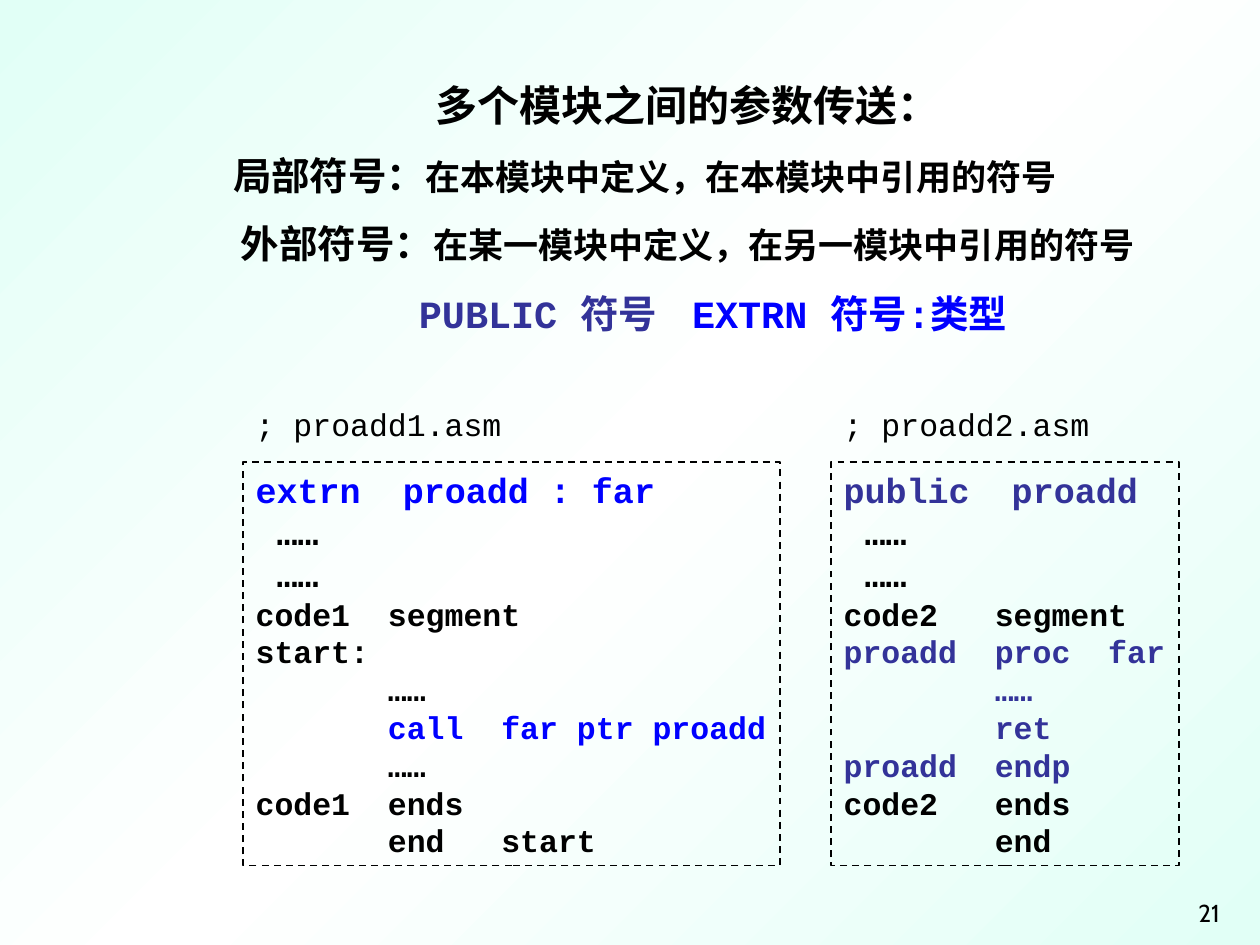
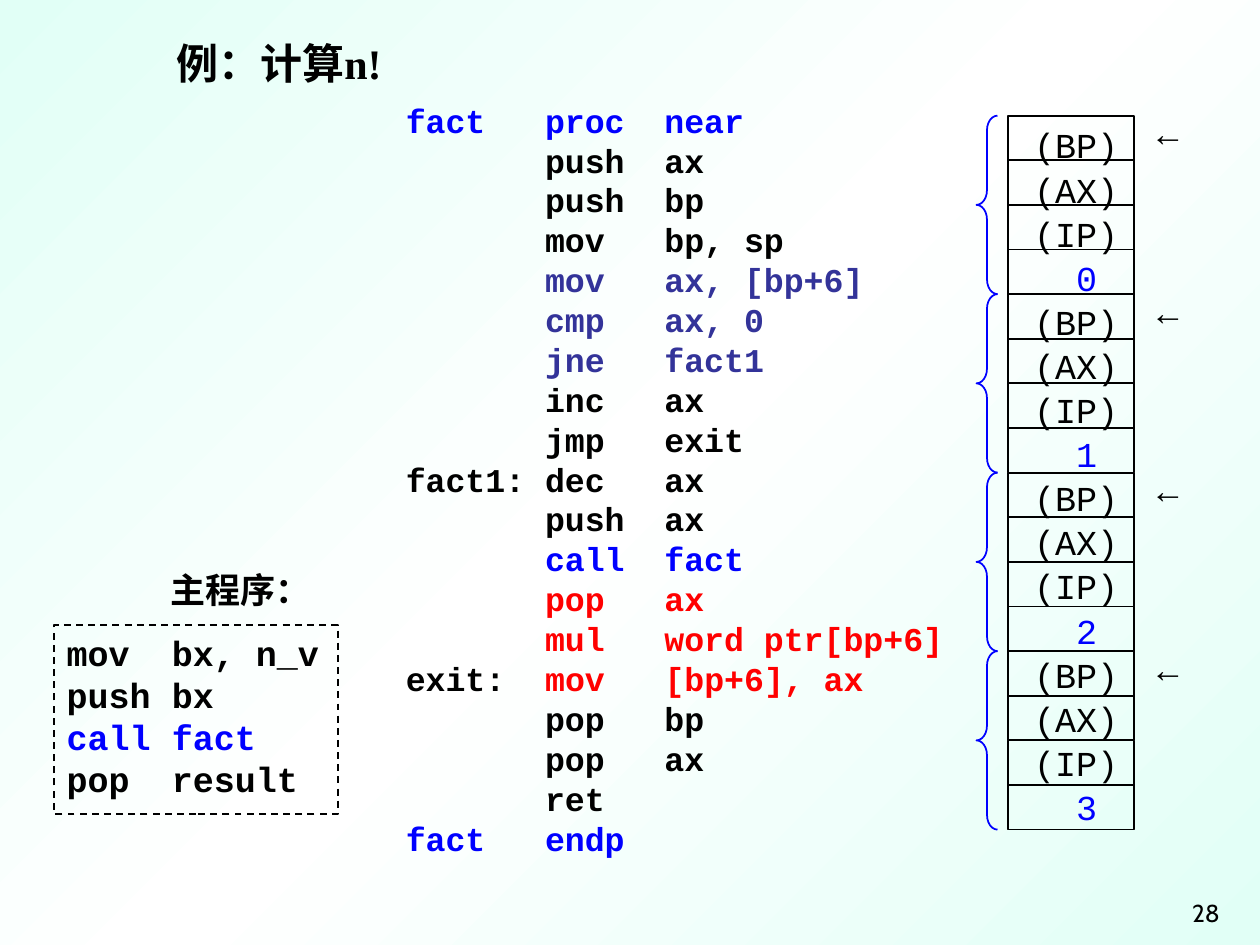
from copy import deepcopy

from lxml import etree
from pptx import Presentation
from pptx.dml.color import RGBColor
from pptx.enum import dml, shapes, text
from pptx.oxml.ns import qn
from pptx.util import Pt

BLACK = RGBColor(0x00, 0x00, 0x00)
WHITE = RGBColor(0xFF, 0xFF, 0xFF)
BLUE = RGBColor(0x00, 0x00, 0xFF)
INDIGO = RGBColor(0x33, 0x33, 0x99)
RED = RGBColor(0xFF, 0x00, 0x00)
MINT = RGBColor(0xE1, 0xFF, 0xF6)

MONO, SERIF, SANS, NUMERAL = "Courier New", "Times New Roman", "Arial", "Cabin"
LEFT, CENTER, RIGHT = text.PP_ALIGN.LEFT, text.PP_ALIGN.CENTER, text.PP_ALIGN.RIGHT
TOP, MIDDLE, BOTTOM = (text.MSO_ANCHOR.TOP, text.MSO_ANCHOR.MIDDLE,
                       text.MSO_ANCHOR.BOTTOM)
INSET = 7.2
LINE_RATIO = 1.2

MODULE_TITLE = "多个模块之间的参数传送："
SYMBOL_RULES = [
    (LEFT, SERIF, 0, 0, [("局部符号：", BLACK, 22),
                         ("在本模块中定义，在本模块中引用的符号", BLACK, 20)]),
    (CENTER, SERIF, 12.5, 0, [("外部符号：", BLACK, 22),
                              ("在某一模块中定义，在另一模块中引用的符号", BLACK, 20)]),
    (LEFT, MONO, 13.8, 106.2, [("PUBLIC 符号", INDIGO, 22),
                               ("\tEXTRN 符号:类型", BLUE, 22)]),
]
SYMBOL_COLUMNS = (13,)

MODULES = [
    {"name": "; proadd1.asm", "left": 139, "width": 306.7, "columns": (7, 13),
     "lines": [("extrn\tproadd : far", BLUE), (" ……", BLACK), (" ……", BLACK),
               ("code1\tsegment", BLACK), ("start:", BLACK), ("\t……", BLACK),
               ("\tcall\tfar ptr proadd", BLUE), ("\t……", BLACK),
               ("code1\tends", BLACK), ("\tend\tstart", BLACK)]},
    {"name": "; proadd2.asm", "left": 475, "width": 198.7, "columns": (8, 14),
     "lines": [("public\tproadd", INDIGO), (" ……", BLACK), (" ……", BLACK),
               ("code2\tsegment", BLACK), ("proadd\tproc\tfar", INDIGO),
               ("\t……", INDIGO), ("\tret", INDIGO), ("proadd\tendp", INDIGO),
               ("code2\tends", BLACK), ("\tend", BLACK)]},
]
MODULE_SIZES = [20] * 3 + [18] * 7

FACTORIAL_TITLE = "例：计算n!"
FACTORIAL_CODE = [
    [("fact\tproc\tnear", BLUE)],
    [("\tpush\tax", BLACK)],
    [("\tpush\tbp", BLACK)],
    [("\tmov\tbp, sp", BLACK)],
    [("\tmov\tax, [bp+6]", INDIGO)],
    [("\tcmp\tax, 0", INDIGO)],
    [("\tjne\tfact1", INDIGO)],
    [("\tinc\tax", BLACK)],
    [("\tjmp\texit", BLACK)],
    [("fact1:\tdec\tax", BLACK)],
    [("\tpush\tax", BLACK)],
    [("\tcall\tfact", BLUE)],
    [("\tpop\tax", RED)],
    [("\tmul\tword ptr[bp+6]", RED)],
    [("exit:", BLACK), ("\tmov\t[bp+6], ax", RED)],
    [("\tpop\tbp", BLACK)],
    [("\tpop\tax", BLACK)],
    [("\tret", BLACK)],
    [("fact\tendp", BLUE)],
]
MAIN_LABEL = "主程序："
MAIN_CODE = [("mov\tbx, n_v", BLACK), ("push\tbx", BLACK),
             ("call\tfact", BLUE), ("pop\tresult", BLACK)]
SAVED_REGISTERS = ["(BP)", "(AX)", "(IP)"]
ARGUMENTS = ["0", "1", "2", "3"]
STACK_LEFT, STACK_TOP, STACK_WIDTH = 576, 66.1, 72
CELL_HEIGHT = 25.5


def place(box, left, top, width, height):
    box.left, box.top, box.width, box.height = map(Pt, (left, top, width, height))
    return box


def prepare_frame(box, anchor=TOP, right_inset=INSET):
    frame = box.text_frame
    frame.word_wrap = True
    frame.auto_size = text.MSO_AUTO_SIZE.NONE
    frame.vertical_anchor = anchor
    frame.margin_left, frame.margin_right = Pt(INSET), Pt(right_inset)
    frame.margin_top = frame.margin_bottom = Pt(INSET / 2)
    return frame


def align_columns(spans, columns):
    stops, used, aligned = iter(columns), 0, []
    for words, color, size in spans:
        field, *rest = words.split("\t")
        line = " " * used + field
        for field in rest:
            line = line.ljust(next(stops)) + field
        aligned.append((line[used:], color, size))
        used = len(line)
    return aligned


def write_line(frame, index, spans, font=MONO, bold=True, align=LEFT,
               before=0, ratio=LINE_RATIO, indent=0, columns=()):
    para = frame.paragraphs[0] if index == 0 else frame.add_paragraph()
    para.alignment = align
    para.space_before = Pt(before)
    para.line_spacing = Pt(ratio * max(size for _, _, size in spans))
    properties = para._p.get_or_add_pPr()
    properties.set("marL", str(int(Pt(indent))))
    properties.set("indent", "0")
    etree.SubElement(properties, qn("a:buNone"))
    for words, color, size in align_columns(spans, columns):
        span = para.add_run()
        span.text = words
        span.font.name, span.font.size = font, Pt(size)
        span.font.bold = bold
        span.font.color.rgb = color


def write_code(box, lines, sizes, columns, anchor=TOP):
    frame = prepare_frame(box, anchor, 0)
    for index, (spans, size) in enumerate(zip(lines, sizes)):
        write_line(frame, index, [(*span, size) for span in spans], columns=columns)


def add_text(page, area, words, size, font, anchor=TOP, right_inset=INSET, **style):
    box = place(page.shapes.add_textbox(0, 0, 0, 0), *area)
    write_line(prepare_frame(box, anchor, right_inset), 0,
               [(words, BLACK, size)], font, **style)


def add_outline(page, area, color=BLACK, dashed=False,
                kind=shapes.MSO_SHAPE.RECTANGLE):
    shape = place(page.shapes.add_shape(kind, 0, 0, 0, 0), *area)
    shape.shadow.inherit = False
    shape.fill.background()
    shape.line.color.rgb = color
    shape.line.width = Pt(1)
    if dashed:
        shape.line.dash_style = dml.MSO_LINE.DASH
    return shape


def paint_background(master):
    fill = master.background.fill
    fill.gradient()
    fill.gradient_angle = 315
    first, second = fill.gradient_stops
    first.color.rgb, first.position = MINT, 0
    second.color.rgb, second.position = WHITE, 0.5
    stops = master.element.find(".//" + qn("a:gsLst"))
    last = deepcopy(stops[0])
    last.set("pos", "100000")
    stops.append(last)


def add_page(deck, layout, title, area, align, number):
    page = deck.slides.add_slide(deck.slide_layouts[layout])
    title_box = place(page.shapes.title, *area)
    write_line(prepare_frame(title_box), 0, [(title, BLACK, 24)], SERIF, align=align)
    add_text(page, (534.2, 506.2, 170, 27.4), number, 14, NUMERAL,
             BOTTOM, bold=False, align=RIGHT)
    return page


def build_modules(deck):
    page = add_page(deck, 1, MODULE_TITLE, (126, 41.8, 534, 36), CENTER, "21")
    rules = prepare_frame(place(page.placeholders[1], 126, 83, 534, 113))
    for index, (align, font, before, indent, spans) in enumerate(SYMBOL_RULES):
        write_line(rules, index, spans, font, align=align, before=before,
                   indent=indent, columns=SYMBOL_COLUMNS)
    for module in MODULES:
        left = module["left"]
        add_text(page, (left, 228.2, 154.8, 28.8), module["name"], 18, MONO,
                 right_inset=0, bold=False)
        box = add_outline(page, (left, 264.2, module["width"], 230.4), dashed=True)
        write_code(box, [[line] for line in module["lines"]],
                   MODULE_SIZES, module["columns"])


def build_stack(page):
    frame_rows = len(SAVED_REGISTERS) + 1
    group_height = frame_rows * CELL_HEIGHT
    for row in range(frame_rows * len(ARGUMENTS)):
        add_outline(page, (STACK_LEFT, STACK_TOP + row * CELL_HEIGHT,
                           STACK_WIDTH, CELL_HEIGHT))
    contents = place(page.shapes.add_textbox(0, 0, 0, 0),
                     STACK_LEFT + 6, STACK_TOP, STACK_WIDTH - 6, 410.4)
    frame = prepare_frame(contents)
    cells = []
    for group, argument in enumerate(ARGUMENTS):
        cells += [(name, BLACK) for name in SAVED_REGISTERS]
        cells.append((" " + argument, BLUE))
        top = STACK_TOP + group * group_height
        brace = add_outline(page, (558, top, 12, group_height), BLUE,
                            kind=shapes.MSO_SHAPE.LEFT_BRACE)
        brace.adjustments[0] = 0.7
        add_text(page, (650.2, top - 6.2, 30.2, 31.7), "←", 20, SANS,
                 MIDDLE, align=CENTER)
    for row, cell in enumerate(cells):
        write_line(frame, row, [(*cell, 20)], bold=False, align=CENTER,
                   ratio=LINE_RATIO * 1.05)


def build_factorial(deck):
    page = add_page(deck, 5, FACTORIAL_TITLE, (93.6, 18, 160, 36), LEFT, "28")
    code = place(page.shapes.add_textbox(0, 0, 0, 0), 224.8, 53.3, 322.6, 440.6)
    write_code(code, FACTORIAL_CODE, [19] * len(FACTORIAL_CODE), (7, 13), MIDDLE)
    add_text(page, (79.2, 321.1, 116.6, 31.7), MAIN_LABEL, 20, SERIF, align=CENTER)
    main_box = add_outline(page, (31, 357.1, 162, 108), dashed=True)
    write_code(main_box, [[line] for line in MAIN_CODE], [20] * len(MAIN_CODE), (5,))
    build_stack(page)


def main():
    deck = Presentation()
    deck.slide_width, deck.slide_height = Pt(720), Pt(540)
    paint_background(deck.slide_master)
    build_modules(deck)
    build_factorial(deck)
    deck.save("out.pptx")


if __name__ == "__main__":
    main()
